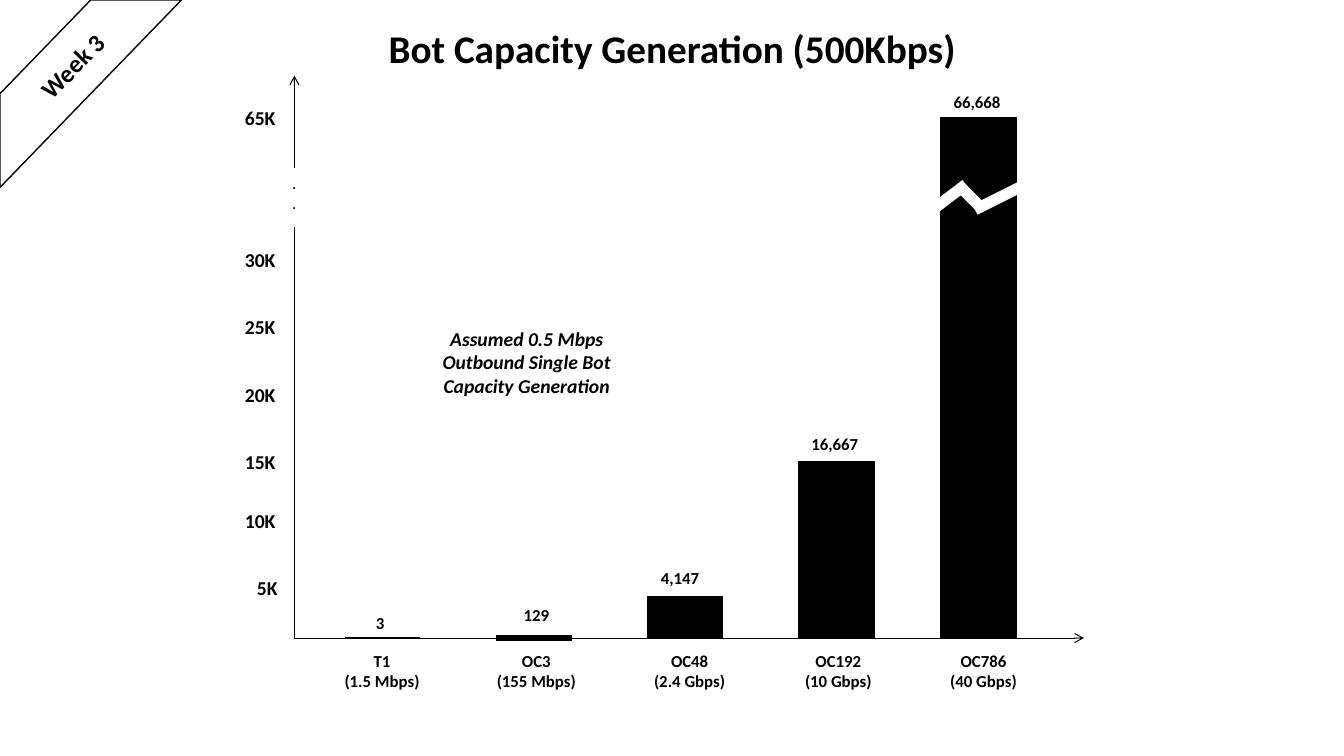
from dataclasses import dataclass

from lxml import etree
from pptx import Presentation
from pptx.dml.color import RGBColor
from pptx.enum.shapes import MSO_CONNECTOR, MSO_SHAPE
from pptx.enum.text import MSO_ANCHOR, MSO_AUTO_SIZE, PP_ALIGN
from pptx.oxml.ns import qn
from pptx.util import Inches, Pt

STRAIGHT = MSO_CONNECTOR.STRAIGHT
RECTANGLE, DIAGONAL_STRIPE = MSO_SHAPE.RECTANGLE, MSO_SHAPE.DIAGONAL_STRIPE
LEFT, CENTER = PP_ALIGN.LEFT, PP_ALIGN.CENTER
TOP = MSO_ANCHOR.TOP
NO_AUTOFIT, FIT_SHAPE = MSO_AUTO_SIZE.NONE, MSO_AUTO_SIZE.SHAPE_TO_FIT_TEXT


@dataclass(frozen=True)
class Theme:
    font: str = "Calibri"
    ink: RGBColor = RGBColor(0, 0, 0)
    paper: RGBColor = RGBColor(255, 255, 255)
    title: int = 28
    ribbon: int = 18
    axis: int = 14
    label: int = 12
    thin: float = 0.75


class SlideBuilder:
    def __init__(self, slide, theme):
        self.slide = slide
        self.theme = theme

    def set_text(self, frame, lines, size, align, bold=True, italic=False):
        frame.text = "\n".join(lines)
        for paragraph in frame.paragraphs:
            paragraph.alignment = align
            font = paragraph.font
            font.name, font.size = self.theme.font, Pt(size)
            font.bold, font.italic = bold, italic
            font.color.rgb = self.theme.ink

    def title(self, text, left, top, width, height):
        title = self.slide.shapes.title
        title.left, title.top = Inches(left), Inches(top)
        title.width, title.height = Inches(width), Inches(height)
        title.fill.solid()
        title.fill.fore_color.rgb = self.theme.paper
        title.text_frame.auto_size = NO_AUTOFIT
        title.text_frame.vertical_anchor = TOP
        self.set_text(title.text_frame, [text], self.theme.title, CENTER)

    def text(self, lines, left, top, width, height, size, align=CENTER, rotation=0, **style):
        box = self.slide.shapes.add_textbox(
            Inches(left), Inches(top), Inches(width), Inches(height))
        box.rotation = rotation
        box.text_frame.word_wrap = False
        box.text_frame.auto_size = FIT_SHAPE
        self.set_text(box.text_frame, lines, size, align, **style)

    def shape(self, kind, left, top, width, height, fill, line_width):
        shape = self.slide.shapes.add_shape(
            kind, Inches(left), Inches(top), Inches(width), Inches(height))
        shape.shadow.inherit = False
        shape.fill.solid()
        shape.fill.fore_color.rgb = fill
        shape.line.color.rgb = self.theme.ink
        shape.line.width = Pt(line_width)

    def line(self, start, end, width, color=None, arrow=False):
        line = self.slide.shapes.add_connector(
            STRAIGHT, *(Inches(value) for value in (*start, *end)))
        line.line.color.rgb = self.theme.ink if color is None else color
        line.line.width = Pt(width)
        properties = line.element.spPr
        if arrow:
            etree.SubElement(properties.find(qn("a:ln")), qn("a:tailEnd"), type="arrow")
        etree.SubElement(properties, qn("a:effectLst"))


AXIS_X, BASELINE, BAR_WIDTH = 2.92, 6.33, 0.75

# Circuit, bandwidth, label left, label width
CIRCUITS = [
    ("T1", "(1.5 Mbps)", 3.31, 0.96),
    ("OC3", "(155 Mbps)", 4.82, 1.0),
    ("OC48", "(2.4 Gbps)", 6.38, 0.92),
    ("OC192", "(10 Gbps)", 7.88, 0.87),
    ("OC786", "(40 Gbps)", 9.32, 0.87),
]
# Bot count, left, top, width
BOT_COUNTS = [
    ("3", 3.62, 6.03, 0.3),
    ("129", 5.09, 5.95, 0.46),
    ("4,147", 6.45, 5.58, 0.59),
    ("16,667", 7.94, 4.25, 0.68),
    ("66,668", 9.35, 0.86, 0.68),
]
# Tick, left, top, width
TICKS = [("5K", 2.45, 5.66, 0.41)] + [
    (tick, 2.33, top, 0.51)
    for tick, top in [("10K", 5), ("15K", 4.41), ("20K", 3.75),
                      ("25K", 3.08), ("30K", 2.41), ("65K", 1)]
]
FLAT_BARS = [(3.42, 2), (4.92, 4)]  # left, line width
TALL_BARS = [(6.42, 5.92), (7.92, 4.58), (9.33, 1.17)]  # left, top
BAR_BREAK = [((9.25, 2.08), (9.58, 1.83)),
             ((9.5, 1.83), (9.75, 2.08)),
             ((9.67, 2.08), (10.17, 1.83))]


def draw_axes(builder):
    theme = builder.theme
    origin = (AXIS_X, BASELINE)
    builder.line(origin, (10.75, BASELINE), theme.thin, arrow=True)
    builder.line(origin, (AXIS_X, 2.25), theme.thin)
    builder.line((AXIS_X, 1.67), (AXIS_X, 0.75), theme.thin, arrow=True)
    builder.text([".", "."], 2.8, 1.66, 0.24, 0.5, theme.label, LEFT, bold=False)
    for tick, left, top, width in TICKS:
        builder.text([tick], left, top, width, 0.34, theme.axis, LEFT)
    for circuit, bandwidth, left, width in CIRCUITS:
        builder.text([circuit, bandwidth], left, 6.41, width, 0.5, theme.label)


def draw_bars(builder):
    theme = builder.theme
    for left, weight in FLAT_BARS:
        builder.line((left, BASELINE), (left + BAR_WIDTH, BASELINE), weight)
    for left, top in TALL_BARS:
        builder.shape(RECTANGLE, left, top, BAR_WIDTH, BASELINE - top, theme.ink, theme.thin)
    for start, end in BAR_BREAK:
        builder.line(start, end, 8, theme.paper)
    for count, left, top, width in BOT_COUNTS:
        builder.text([count], left, top, width, 0.3, theme.label)


def main():
    presentation = Presentation()
    presentation.slide_width, presentation.slide_height = Inches(13.33), Inches(7.5)
    title_only = presentation.slide_layouts[5]
    theme = Theme()
    builder = SlideBuilder(presentation.slides.add_slide(title_only), theme)

    builder.title("Bot Capacity Generation (500Kbps)", 2.27, 0.19, 8.79, 0.75)
    draw_axes(builder)
    draw_bars(builder)
    builder.text(["Assumed 0.5 Mbps", "Outbound Single Bot", "Capacity Generation"],
                 4.26, 3.19, 1.93, 0.81, theme.axis, italic=True)
    builder.shape(DIAGONAL_STRIPE, 0, 0, 1.8, 1.86, theme.paper, 1)
    builder.text(["Week 3"], 0.23, 0.45, 0.98, 0.4, theme.ribbon, LEFT, rotation=314.8)
    presentation.save("out.pptx")


if __name__ == "__main__":
    main()
